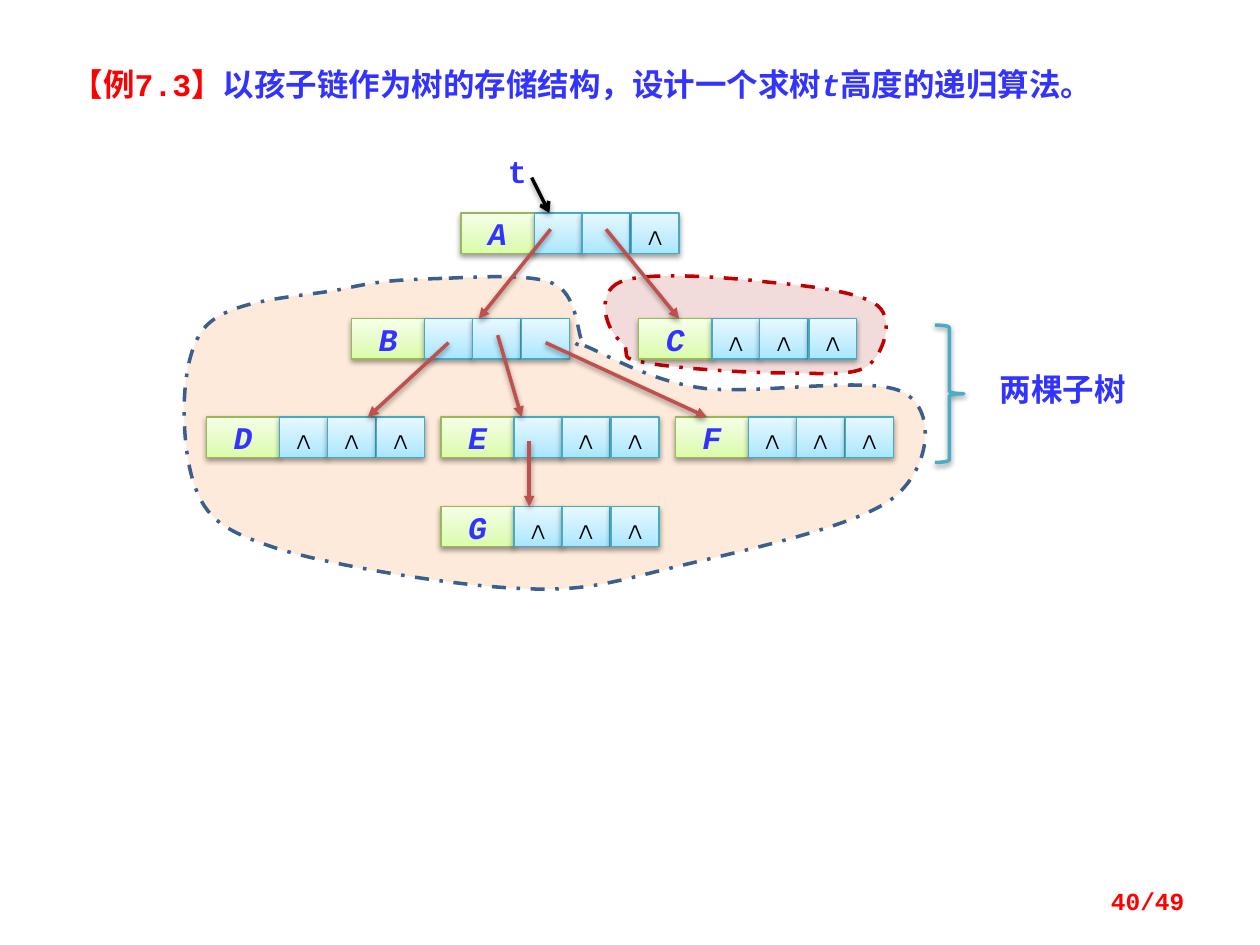
"""Build the slide on the height of a tree stored as child links."""
import copy
import dataclasses
import typing

import lxml.etree
import pptx
import pptx.dml.color
import pptx.enum.dml
import pptx.enum.shapes
import pptx.enum.text
import pptx.oxml.ns
import pptx.slide
import pptx.util

PX = 9144
NAME_WIDTH, LINK_WIDTH, NODE_HEIGHT = 58, 38, 32
Point = tuple[int, int]
Align = pptx.enum.text.PP_ALIGN
Anchor = pptx.enum.text.MSO_ANCHOR
Preset = pptx.enum.shapes.MSO_SHAPE
qn = pptx.oxml.ns.qn


@dataclasses.dataclass(frozen=True)
class Theme:
    latin: str = "Courier New"
    chinese: str = "Noto Sans CJK SC"
    body: int = 18
    footer: int = 14
    blue: str = "3333FF"
    red: str = "FF0000"
    black: str = "000000"
    arrow: str = "C0504D"
    brace: str = "4BACC6"
    name_fill: tuple[str, ...] = ("DAFDA7", "E4FCC2", "F5FFE7")
    name_line: str = "98B955"
    link_fill: tuple[str, ...] = ("A7E6FF", "C1EDFF", "E7F8FF")
    link_line: str = "46AAC5"
    stops: tuple[float, ...] = (0, 0.35, 1)
    thin: float = 0.75
    thick: float = 2


THEME = Theme()


class Run(typing.NamedTuple):
    text: str
    color: str = THEME.blue
    italic: bool = False
    size: int = THEME.body
    latin: str = THEME.latin


class Node(typing.NamedTuple):
    name: str
    left: int
    top: int
    links: str


class Arrow(typing.NamedTuple):
    start: Point
    end: Point
    color: str = THEME.arrow
    head: str = "triangle"


class Subtree(typing.NamedTuple):
    fill: str
    line: str
    start: Point
    controls: list[Point]


class Label(typing.NamedTuple):
    box: tuple[int, int, int, int]
    runs: list[Run]
    align: Align = Align.CENTER
    anchor: Anchor = Anchor.TOP


SUBTREES = [
    Subtree("F2DCDB", "C00000", (492, 224), [
        (473, 232), (479, 262), (496, 274), (499, 284), (492, 284), (513, 288),
        (534, 292), (590, 296), (620, 296), (649, 296), (675, 299), (688, 291),
        (701, 282), (710, 254), (697, 243), (684, 232), (644, 227), (610, 224),
        (577, 220), (511, 215), (492, 224)]),
    Subtree("FDEADA", "3A5F8C", (351, 221), [
        (324, 222), (305, 222), (274, 229), (242, 236), (180, 236), (161, 262),
        (141, 288), (144, 355), (154, 384), (164, 413), (179, 422), (222, 436),
        (265, 449), (360, 465), (412, 467), (464, 470), (486, 462), (536, 450),
        (585, 438), (677, 419), (708, 396), (738, 373), (744, 327), (718, 312),
        (693, 297), (599, 314), (557, 308), (514, 302), (479, 280), (463, 274),
        (447, 268), (466, 279), (462, 271), (458, 263), (458, 233), (439, 225),
        (421, 217), (379, 220), (351, 221)]),
]
NODES = [
    Node("A", 366, 169, "..∧"), Node("B", 279, 253, "..."), Node("C", 507, 253, "∧∧∧"),
    Node("D", 164, 331, "∧∧∧"), Node("E", 350, 331, ".∧∧"), Node("F", 536, 331, "∧∧∧"),
    Node("G", 350, 402, "∧∧∧"),
]
ARROWS = [
    Arrow((437, 182), (380, 253)), Arrow((481, 182), (539, 253)),
    Arrow((356, 272), (292, 331)), Arrow((395, 266), (414, 331)),
    Arrow((433, 272), (561, 331)), Arrow((420, 350), (420, 402)),
    Arrow((422, 141), (436, 169), THEME.black, "arrow"),
]
LABELS = [
    Label((47, 47, 859, 40), [
        Run("【例7.3】", THEME.red), Run("以孩子链作为树的存储结构，设计一个求树"),
        Run("t", italic=True), Run("高度的递归算法。")], Align.LEFT),
    Label((773, 289, 141, 40), [Run("两棵子树", latin=THEME.chinese)]),
    Label((391, 116, 39, 40), [Run("t")]),
    Label((717, 695, 233, 40), [Run("40/49", THEME.red, size=THEME.footer)], Align.RIGHT, Anchor.MIDDLE),
]


def rgb(color: str) -> pptx.dml.color.RGBColor:
    return pptx.dml.color.RGBColor.from_string(color)


def set_line(outline: typing.Any, color: str, width: float) -> None:
    outline.line.color.rgb = rgb(color)
    outline.line.width = pptx.util.Pt(width)


def add_shadow(outline: typing.Any) -> None:
    effects = lxml.etree.SubElement(outline._element.spPr, qn("a:effectLst"))
    shadow = lxml.etree.SubElement(
        effects, qn("a:outerShdw"), blurRad="40000", dist="20000", dir="5400000", rotWithShape="0")
    color = lxml.etree.SubElement(shadow, qn("a:srgbClr"), val=THEME.black)
    lxml.etree.SubElement(color, qn("a:alpha"), val="38000")


def write(frame: typing.Any, runs: list[Run], align: Align, anchor: Anchor) -> None:
    frame.vertical_anchor = anchor
    paragraph = frame.paragraphs[0]
    paragraph.alignment = align
    for part in runs:
        run = paragraph.add_run()
        run.text = part.text
        font = run.font
        font.name, font.size = part.latin, pptx.util.Pt(part.size)
        font.bold, font.italic = True, part.italic
        font.color.rgb = rgb(part.color)
        if any("一" <= letter <= "鿿" for letter in part.text):
            lxml.etree.SubElement(run._r.rPr, qn("a:ea"), typeface=THEME.chinese)


def draw_subtree(slide: pptx.slide.Slide, subtree: Subtree) -> None:
    builder = slide.shapes.build_freeform(*subtree.start, scale=PX)
    builder.add_line_segments(subtree.controls, close=True)
    region = builder.convert_to_shape()
    segments = list(region._element.iter(qn("a:lnTo")))
    for first, second, third in zip(segments[::3], segments[1::3], segments[2::3]):
        curve = lxml.etree.Element(qn("a:cubicBezTo"))
        first.addprevious(curve)
        for segment in (first, second, third):
            curve.append(segment[0])
            segment.getparent().remove(segment)
    region.shadow.inherit = False
    region.fill.solid()
    region.fill.fore_color.rgb = rgb(subtree.fill)
    set_line(region, subtree.line, THEME.thick)
    region.line.dash_style = pptx.enum.dml.MSO_LINE.DASH_DOT


def draw_cell(slide: pptx.slide.Slide, left: int, top: int, width: int,
              colors: tuple[str, ...], line: str, content: list[Run]) -> None:
    cell = slide.shapes.add_shape(Preset.RECTANGLE, left * PX, top * PX, width * PX, NODE_HEIGHT * PX)
    cell.fill.gradient()
    cell.fill.gradient_angle = 90
    stop = next(cell._element.iter(qn("a:gs")))
    stop.addnext(copy.deepcopy(stop))
    for stop, color, position in zip(cell.fill.gradient_stops, colors, THEME.stops):
        stop.color.rgb, stop.position = rgb(color), position
    set_line(cell, line, THEME.thin)
    add_shadow(cell)
    cell.text_frame.word_wrap = False
    write(cell.text_frame, content, Align.CENTER, Anchor.MIDDLE)


def draw_node(slide: pptx.slide.Slide, node: Node) -> None:
    draw_cell(slide, node.left, node.top, NAME_WIDTH, THEME.name_fill, THEME.name_line,
              [Run(node.name, italic=True)])
    for index, link in enumerate(node.links):
        left = node.left + NAME_WIDTH + index * 77 // 2
        content = [Run(link, THEME.black)] if link == "∧" else []
        draw_cell(slide, left, node.top, LINK_WIDTH, THEME.link_fill, THEME.link_line, content)


def draw_arrow(slide: pptx.slide.Slide, arrow: Arrow) -> None:
    ends = [length * PX for length in arrow.start + arrow.end]
    pointer = slide.shapes.add_connector(pptx.enum.shapes.MSO_CONNECTOR.STRAIGHT, *ends)
    set_line(pointer, arrow.color, THEME.thick)
    lxml.etree.SubElement(pointer.line._get_or_add_ln(), qn("a:tailEnd"), type=arrow.head)
    add_shadow(pointer)


def draw_brace(slide: pptx.slide.Slide) -> None:
    brace = slide.shapes.add_shape(Preset.RIGHT_BRACE, 742 * PX, 258 * PX, 23 * PX, 109 * PX)
    brace.fill.background()
    set_line(brace, THEME.brace, THEME.thick)
    add_shadow(brace)


def draw_label(slide: pptx.slide.Slide, label: Label) -> None:
    caption = slide.shapes.add_textbox(*(length * PX for length in label.box))
    caption.text_frame.word_wrap = True
    write(caption.text_frame, label.runs, label.align, label.anchor)


def main() -> None:
    deck = pptx.Presentation()
    deck.slide_width, deck.slide_height = 1000 * PX, 750 * PX
    slide = deck.slides.add_slide(deck.slide_layouts[6])
    for subtree in SUBTREES:
        draw_subtree(slide, subtree)
    draw_brace(slide)
    for node in NODES:
        draw_node(slide, node)
    for arrow in ARROWS:
        draw_arrow(slide, arrow)
    for label in LABELS:
        draw_label(slide, label)
    deck.save("out.pptx")


if __name__ == "__main__":
    main()
